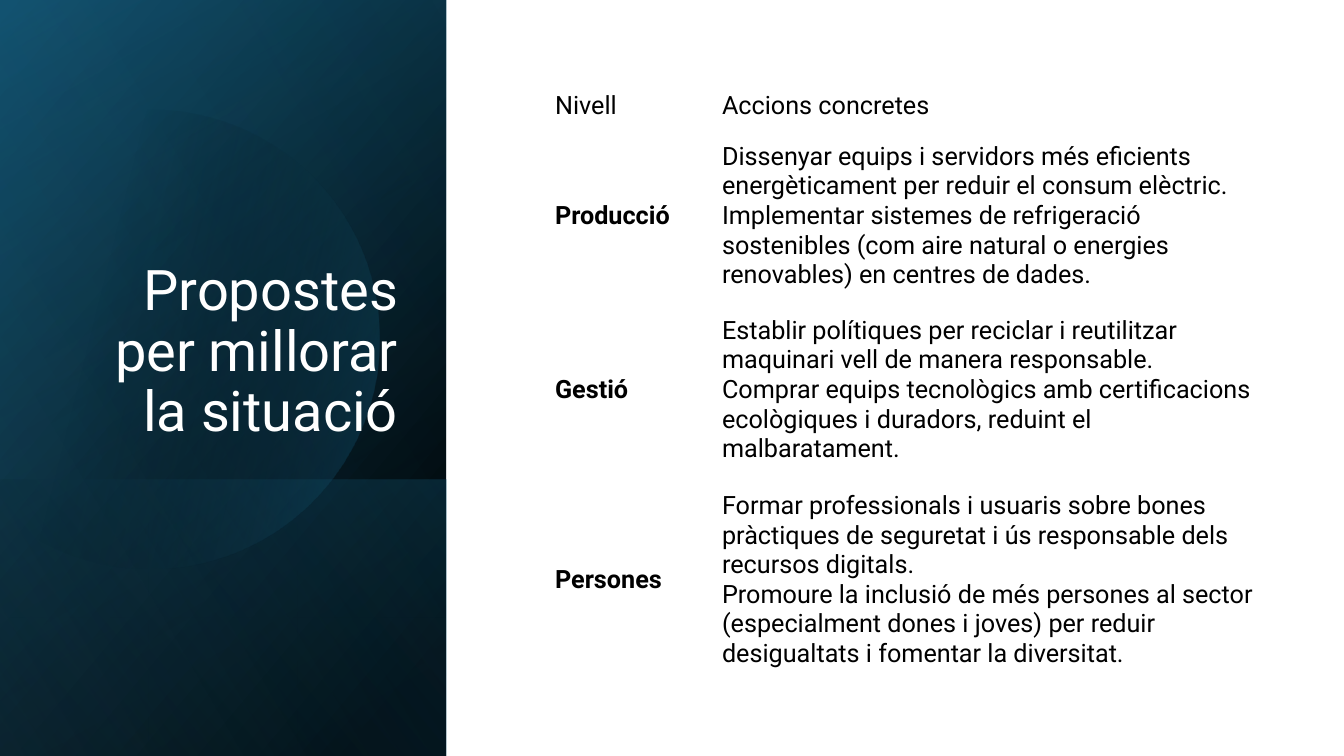
import math
from lxml import etree
from pptx import Presentation
from pptx.dml.color import RGBColor
from pptx.enum.shapes import MSO_SHAPE
from pptx.enum.text import MSO_ANCHOR, MSO_AUTO_SIZE, PP_ALIGN
from pptx.oxml.ns import qn
from pptx.util import Pt

RECTANGLE = MSO_SHAPE.RECTANGLE
MIDDLE, BOTTOM = MSO_ANCHOR.MIDDLE, MSO_ANCHOR.BOTTOM
RIGHT = PP_ALIGN.RIGHT
NO_AUTOFIT = MSO_AUTO_SIZE.NONE
BLACK = RGBColor(0x00, 0x00, 0x00)
WHITE = RGBColor(0xFF, 0xFF, 0xFF)
NAVY = RGBColor(0x10, 0x48, 0x62)
TEAL = RGBColor(0x15, 0x60, 0x82)
SKY = RGBColor(0x46, 0xB1, 0xE1)
FONT = "Roboto"
PX = 914400 / 100.8
SLIDE_W, SLIDE_H, PANEL_W = 1344, 756, 446


def shade(shape, angle, stops):
    shape.shadow.inherit = False
    shape.line.fill.background()
    shape.fill.background()
    gradient = etree.Element(qn("a:gradFill"), rotWithShape="1")
    stop_list = etree.SubElement(gradient, qn("a:gsLst"))
    for position, color, opacity in stops:
        stop = etree.SubElement(stop_list, qn("a:gs"), pos=str(position * 1000))
        tint = etree.SubElement(stop, qn("a:srgbClr"), val=str(color))
        if opacity < 100:
            etree.SubElement(tint, qn("a:alpha"), val=str(opacity * 1000))
    etree.SubElement(gradient, qn("a:lin"), ang=str(angle * 60000), scaled="0")
    properties = shape.element.spPr
    properties.replace(properties.find(qn("a:noFill")), gradient)


def write(paragraph, text, size, color, bold=False):
    for index, line in enumerate(text.split("\n")):
        if index:
            paragraph.add_line_break()
        run = paragraph.add_run()
        run.text = line
        run.font.name = FONT
        run.font.size = Pt(size)
        run.font.bold = bold
        run.font.color.rgb = color


deck = Presentation()
deck.slide_width = round(SLIDE_W * PX)
deck.slide_height = round(SLIDE_H * PX)
slide = deck.slides.add_slide(deck.slide_layouts[5])
shapes = slide.shapes

panel_layers = [
    (756, 50, [(8, BLACK, 100), (100, NAVY, 100)]),
    (756, 30, [(0, BLACK, 0), (99, TEAL, 46)]),
    (276, 130, [(2, TEAL, 29), (100, BLACK, 30)]),
    ("disc", 14, [(29, BLACK, 0), (100, TEAL, 43)]),
    (756, 120, [(0, BLACK, 0), (99, SKY, 11)]),
]
DISC_X, DISC_Y, DISC_R = 150, 339, 229
for height, angle, stops in panel_layers:
    if height == "disc":
        rim = [(DISC_X + DISC_R * math.cos(math.radians(degree)),
                DISC_Y + DISC_R * math.sin(math.radians(degree)))
               for degree in range(-130, 131, 2)]
        outline = shapes.build_freeform(round(rim[0][0] * PX), round(rim[0][1] * PX))
        outline.add_line_segments([(round(x * PX), round(y * PX)) for x, y in rim[1:]])
        layer = outline.convert_to_shape()
    else:
        left = (PANEL_W - height) / 2
        top = SLIDE_H - (height + PANEL_W) / 2
        layer = shapes.add_shape(RECTANGLE, round(left * PX), round(top * PX),
                                 round(height * PX), round(PANEL_W * PX))
        layer.rotation = 90
        layer.element.spPr.find(qn("a:xfrm")).set("flipH", "1")
    shade(layer, angle, stops)

title = shapes.title
title.element.getparent().append(title.element)
title.left, title.top, title.width, title.height = (
    round(length * PX) for length in (64, 185, 344, 264))
title.text_frame.word_wrap = True
title.text_frame.auto_size = NO_AUTOFIT
title.text_frame.vertical_anchor = BOTTOM
heading = title.text_frame.paragraphs[0]
heading.alignment = RIGHT
heading.line_spacing = 0.9
write(heading, "Propostes per millorar la situació", 40, WHITE)

proposals = [
    (47, "Nivell", ["Accions concretes"]),
    (174, "Producció", [
        "Dissenyar equips i servidors més eficients energèticament per reduir "
        "el consum elèctric.\nImplementar sistemes de refrigeració sostenibles "
        "(com aire natural o energies renovables) en centres de dades."]),
    (174, "Gestió", [
        "Establir polítiques per reciclar i reutilitzar maquinari vell de manera responsable.",
        "Comprar equips tecnològics amb certificacions ecològiques i duradors, "
        "reduint el malbaratament."]),
    (206, "Persones", [
        "Formar professionals i usuaris sobre bones pràctiques de seguretat i ús "
        "responsable dels recursos digitals.\nPromoure la inclusió de més persones "
        "al sector (especialment dones i joves) per reduir desigualtats i fomentar "
        "la diversitat."]),
]
table = shapes.add_table(len(proposals), 2, round(545 * PX), round(82 * PX),
                         round(725 * PX), round(601 * PX)).table
table.first_row = False
table.horz_banding = False
for column, width in zip(table.columns, (167, 558)):
    column.width = round(width * PX)
for row_index, (height, level, actions) in enumerate(proposals):
    table.rows[row_index].height = round(height * PX)
    for column_index, paragraphs in enumerate(([level], actions)):
        cell = table.cell(row_index, column_index)
        cell.fill.background()
        cell.vertical_anchor = MIDDLE
        bold = row_index > 0 and column_index == 0
        for index, text in enumerate(paragraphs):
            frame = cell.text_frame
            paragraph = frame.add_paragraph() if index else frame.paragraphs[0]
            write(paragraph, text, 18, BLACK, bold)

deck.save("out.pptx")
